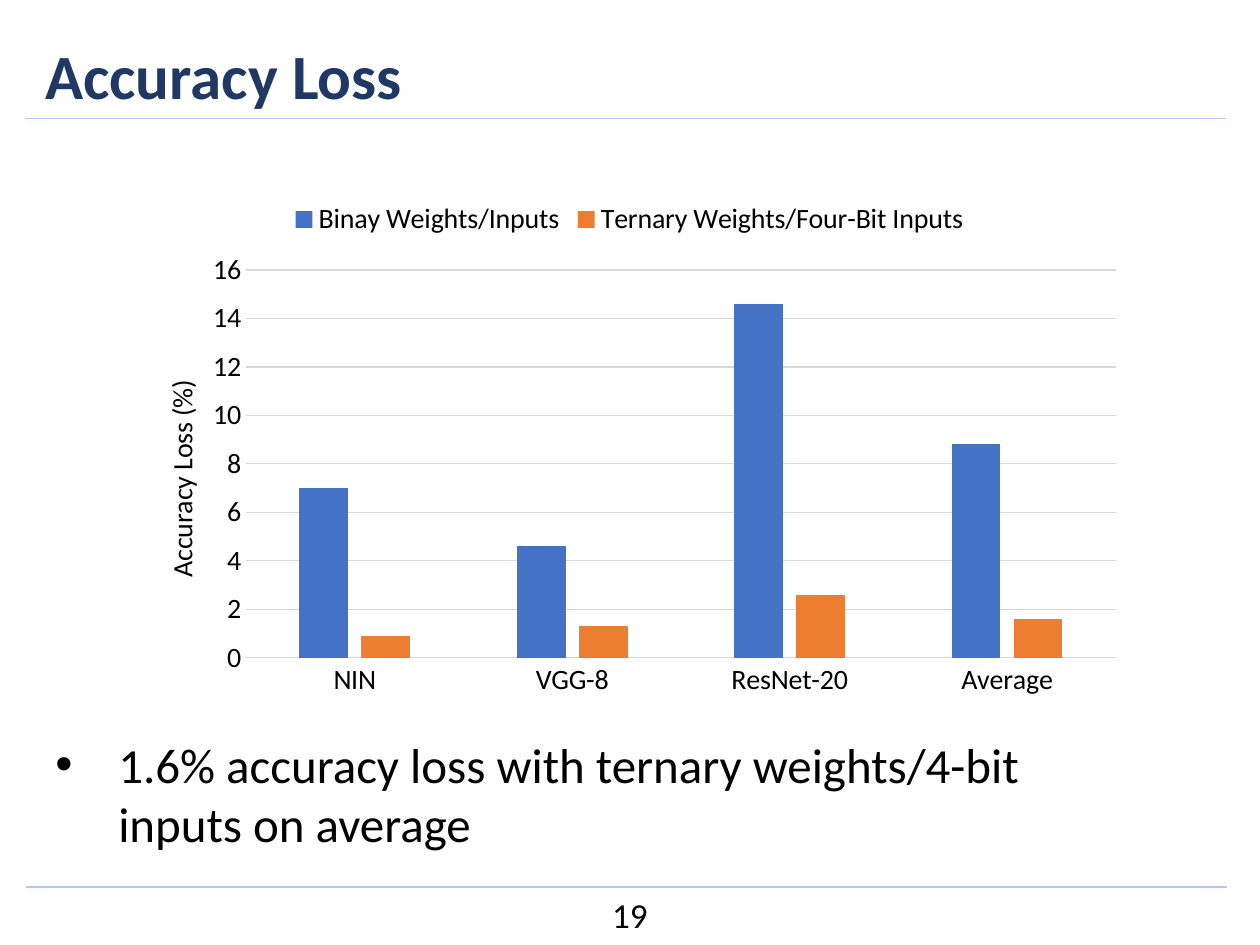
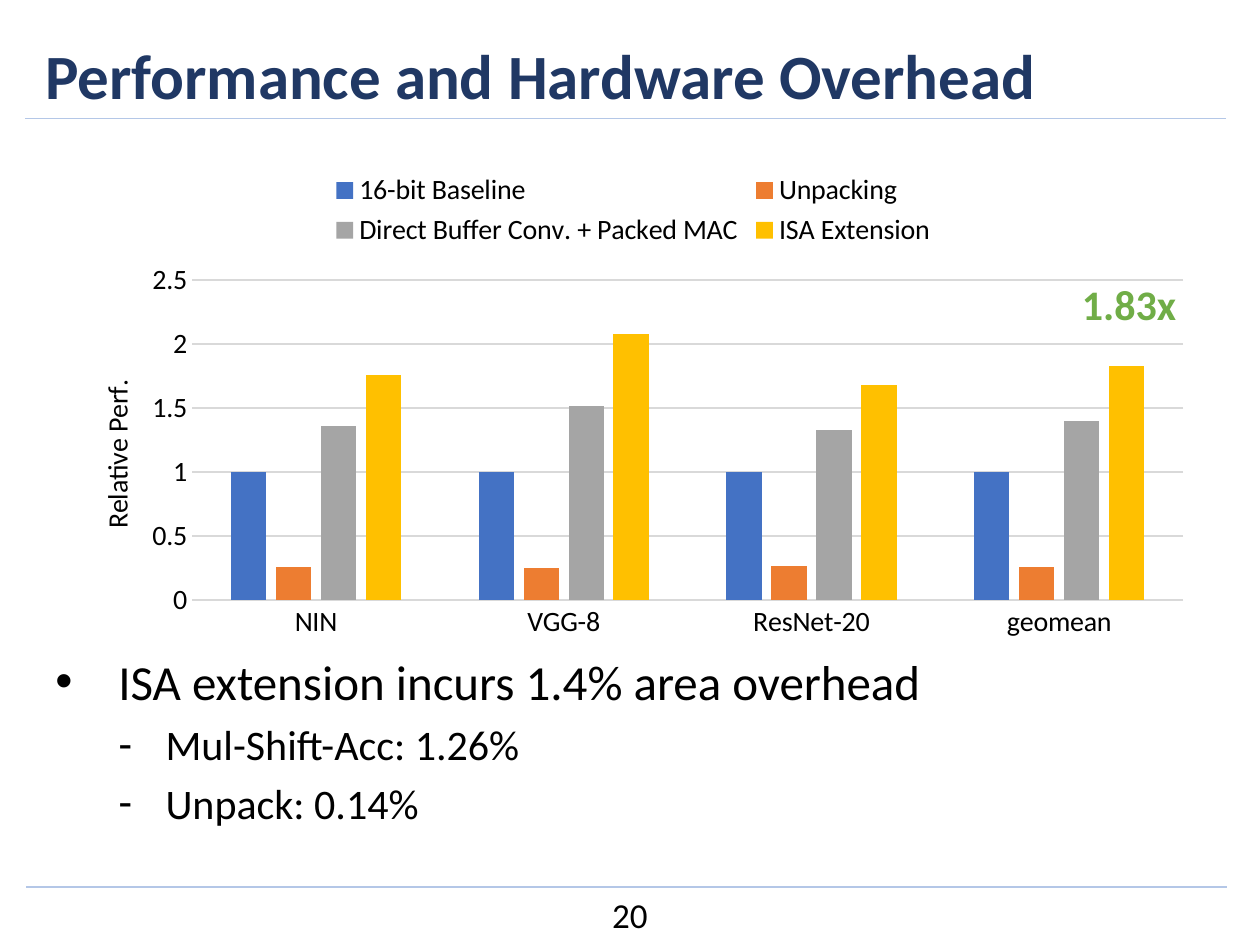
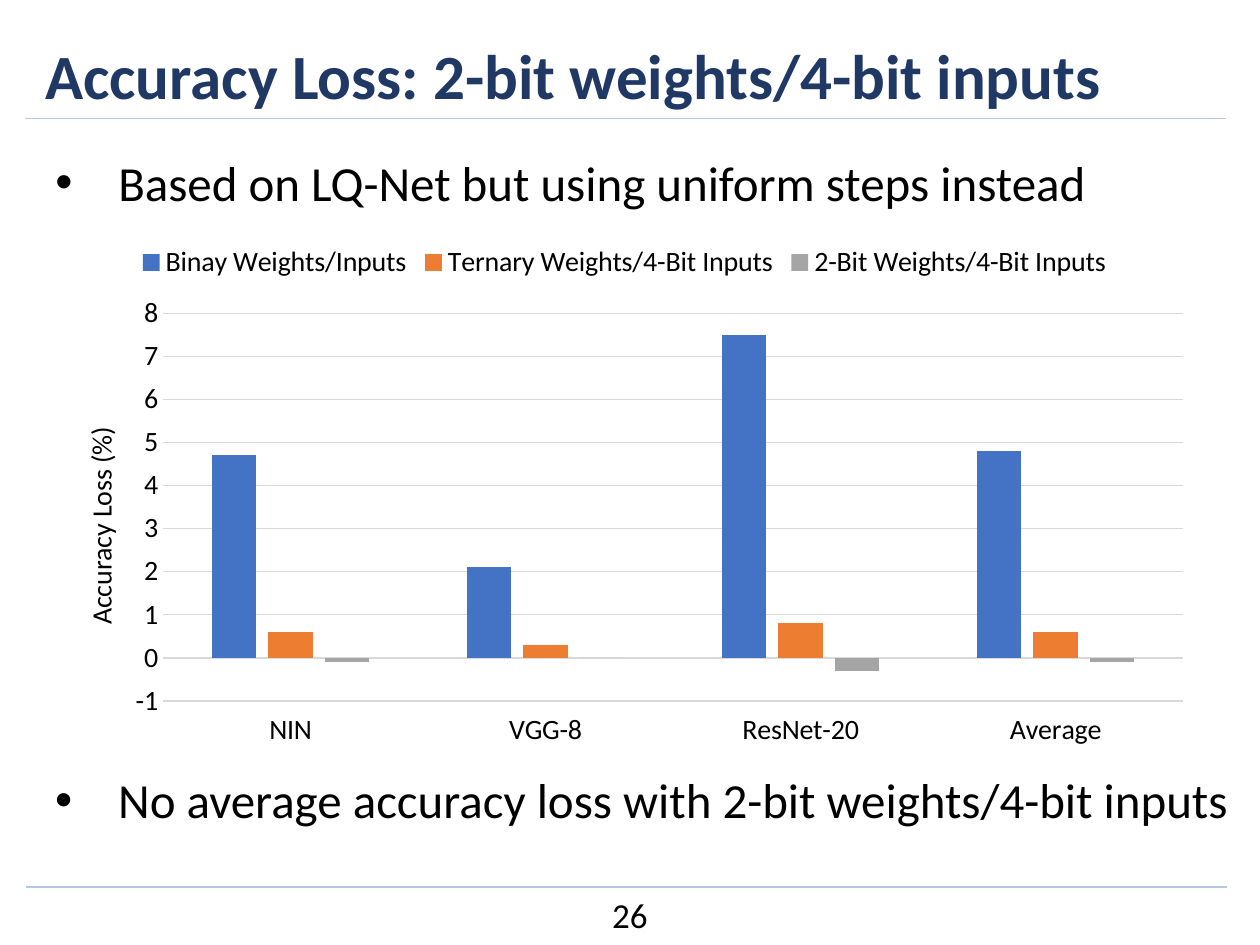
from lxml.etree import SubElement
from pptx import Presentation
from pptx.chart.data import CategoryChartData
from pptx.dml.color import RGBColor
from pptx.enum.chart import (XL_CHART_TYPE, XL_LEGEND_POSITION, XL_TICK_LABEL_POSITION,
                             XL_TICK_MARK)
from pptx.enum.shapes import MSO_CONNECTOR
from pptx.enum.text import MSO_ANCHOR, PP_ALIGN
from pptx.oxml.ns import qn
from pptx.util import Pt

FONT = "Calibri"
BLACK = RGBColor(0x00, 0x00, 0x00)
NAVY = RGBColor(0x20, 0x38, 0x64)
RULE = RGBColor(0xB4, 0xC7, 0xE7)
GRID = RGBColor(0xD9, 0xD9, 0xD9)
GREEN = RGBColor(0x70, 0xAD, 0x47)
BARS = [RGBColor(0x44, 0x72, 0xC4), RGBColor(0xED, 0x7D, 0x31),
        RGBColor(0xA5, 0xA5, 0xA5), RGBColor(0xFF, 0xC0, 0x00)]

# Bullet levels: mark, text size, left indent, hanging indent
LEVELS = [("•", 28, 36, 36), ("-", 24, 63, 27)]
NETS = ["NIN", "VGG-8", "ResNet-20"]


def style(font, size, color=BLACK, bold=False):
    font.name, font.size, font.bold = FONT, Pt(size), bold
    font.color.rgb = color


def add_frame(slide, box, anchor=MSO_ANCHOR.TOP):
    frame = slide.shapes.add_textbox(*map(Pt, box)).text_frame
    frame.word_wrap = True
    frame.vertical_anchor = anchor
    return frame


def add_text(slide, box, text, size, color=BLACK, bold=False,
             align=PP_ALIGN.LEFT, anchor=MSO_ANCHOR.TOP):
    para = add_frame(slide, box, anchor).paragraphs[0]
    para.text, para.alignment = text, align
    style(para.font, size, color, bold)


def add_list(slide, box, items):
    """Place bullets given as (level, text) pairs."""
    frame = add_frame(slide, box)
    for i, (level, text) in enumerate(items):
        para = frame.add_paragraph() if i else frame.paragraphs[0]
        mark, size, left, hang = LEVELS[level]
        para.text, para.level = text, level
        props = para._p.get_or_add_pPr()
        props.set("marL", str(Pt(left)))
        props.set("indent", str(-Pt(hang)))
        SubElement(props, qn("a:buFont"), typeface="Arial")
        SubElement(props, qn("a:buChar"), char=mark)
        if i:
            para.space_before = Pt(size * 0.2)
        style(para.font, size)


def add_rule(slide, left, top, width):
    line = slide.shapes.add_connector(
        MSO_CONNECTOR.STRAIGHT, Pt(left), Pt(top), Pt(left + width), Pt(top))
    line.line.color.rgb, line.line.width = RULE, Pt(1)
    SubElement(line._element.spPr, qn("a:effectLst"))


def add_page(deck, title, number):
    """Add a slide with its title, two rules and page number."""
    slide = deck.slides.add_slide(deck.slide_layouts[6])
    add_rule(slide, 14.4, 67.7, 686)
    add_rule(slide, 15.1, 506.9, 686)
    add_text(slide, (18.7, 18.7, 670.3, 47.5), title, 36, NAVY, True,
             anchor=MSO_ANCHOR.MIDDLE)
    add_text(slide, (287.3, 506.9, 145.4, 36), str(number), 20, align=PP_ALIGN.CENTER)
    return slide


def pin(node, box, **parts):
    """Fix a chart part at offsets in points from the corner of the chart box."""
    layout = node.find(qn("c:layout"))
    if layout is None:
        layout = SubElement(node, qn("c:layout"))
        node.insert(0, layout)
    manual = SubElement(layout, qn("c:manualLayout"))
    if "w" in parts:
        SubElement(manual, qn("c:layoutTarget"), val="inner")
    for side in ("x", "y"):
        SubElement(manual, qn(f"c:{side}Mode"), val="edge")
    for key, size in parts.items():
        whole = box[2] if key in "xw" else box[3]
        SubElement(manual, qn(f"c:{key}"), val=f"{size / whole:.4f}")


def add_bars(slide, box, label, cats, rows, plot, spot):
    """Draw clustered columns; plot and spot place the plot area and axis title."""
    data = CategoryChartData()
    data.categories = cats
    for name, vals in rows:
        data.add_series(name, vals)
    chart = slide.shapes.add_chart(
        XL_CHART_TYPE.COLUMN_CLUSTERED, *map(Pt, box), data).chart
    style(chart.font, 16)
    chart.has_title = False
    chart.has_legend = True
    chart.legend.position = XL_LEGEND_POSITION.TOP
    chart.legend.include_in_layout = False
    style(chart.legend.font, 16)

    bars = chart.plots[0]
    bars.gap_width, bars.overlap, bars.vary_by_categories = 219, -27, False
    for series, color in zip(bars.series, BARS):
        series.invert_if_negative = False
        series.format.fill.solid()
        series.format.fill.fore_color.rgb = color

    base, scale = chart.category_axis, chart.value_axis
    for axis in (base, scale):
        axis.major_tick_mark = axis.minor_tick_mark = XL_TICK_MARK.NONE
        style(axis.tick_labels.font, 16)
    scale.has_major_gridlines = True
    for line in (base.format.line, scale.major_gridlines.format.line):
        line.color.rgb, line.width = GRID, Pt(0.75)
    scale.format.line.fill.background()
    title = scale.axis_title
    para = title.text_frame.paragraphs[0]
    para.text = label
    style(para.runs[0].font, 16)

    pin(chart._chartSpace.chart.plotArea, box, **dict(zip("xywh", plot)))
    pin(title._element, box, **dict(zip("xy", spot)))
    return chart


def loss_page(deck):
    slide = add_page(deck, "Accuracy Loss", 19)
    add_bars(slide, (70.6, 107.3, 578.2, 297.4), "Accuracy Loss (%)", NETS + ["Average"],
             [("Binay Weights/Inputs", (7, 4.6, 14.6, 8.8)),
              ("Ternary Weights/Four-Bit Inputs", (0.9, 1.3, 2.6, 1.6))],
             plot=(70, 47, 497, 221.7), spot=(19.5, 107))
    add_list(slide, (24.5, 416.2, 641.5, 69.1),
             [(0, "1.6% accuracy loss with ternary weights/4-bit inputs on average")])


def speed_page(deck):
    slide = add_page(deck, "Performance and Hardware Overhead", 20)
    add_list(slide, (24.5, 368.6, 641.5, 123.8),
             [(0, "ISA extension incurs 1.4% area overhead"),
              (1, "Mul-Shift-Acc: 1.26%"), (1, "Unpack: 0.14%")])
    add_bars(slide, (34.6, 90.7, 654.5, 280.1), "Relative Perf.", NETS + ["geomean"],
             [("16-bit Baseline", (1, 1, 1, 1)),
              ("Unpacking", (0.26, 0.25, 0.27, 0.26)),
              ("Direct Buffer Conv. + Packed MAC", (1.36, 1.52, 1.33, 1.4)),
              ("ISA Extension", (1.76, 2.08, 1.68, 1.83))],
             plot=(75.2, 69.4, 566.3, 182.9), spot=(18.5, 123.5))
    add_text(slide, (607, 155.5, 76.3, 38.2), "1.83x", 24, GREEN, True, PP_ALIGN.CENTER)


def steps_page(deck):
    slide = add_page(deck, "Accuracy Loss: 2-bit weights/4-bit inputs", 26)
    add_list(slide, (24.5, 83.5, 641.5, 47.5),
             [(0, "Based on LQ-Net but using uniform steps instead")])
    chart = add_bars(
        slide, (24.5, 131.8, 664.6, 301), "Accuracy Loss (%)", NETS + ["Average"],
        [("Binay Weights/Inputs", (4.7, 2.1, 7.5, 4.8)),
         ("Ternary Weights/4-Bit Inputs", (0.6, 0.3, 0.8, 0.6)),
         ("2-Bit Weights/4-Bit Inputs", (-0.1, 0, -0.3, -0.1))],
        plot=(68.7, 47.2, 582.9, 221.7), spot=(19.5, 109.5))
    scale = chart.value_axis
    scale.minimum_scale, scale.maximum_scale, scale.major_unit = -1, 8, 1
    chart.category_axis.tick_label_position = XL_TICK_LABEL_POSITION.LOW
    add_list(slide, (24.5, 436.3, 695.5, 47.5),
             [(0, "No average accuracy loss with 2-bit weights/4-bit inputs")])


def main():
    deck = Presentation()
    deck.slide_width, deck.slide_height = Pt(720), Pt(540)
    for build in (loss_page, speed_page, steps_page):
        build(deck)
    deck.save("out.pptx")


if __name__ == "__main__":
    main()
